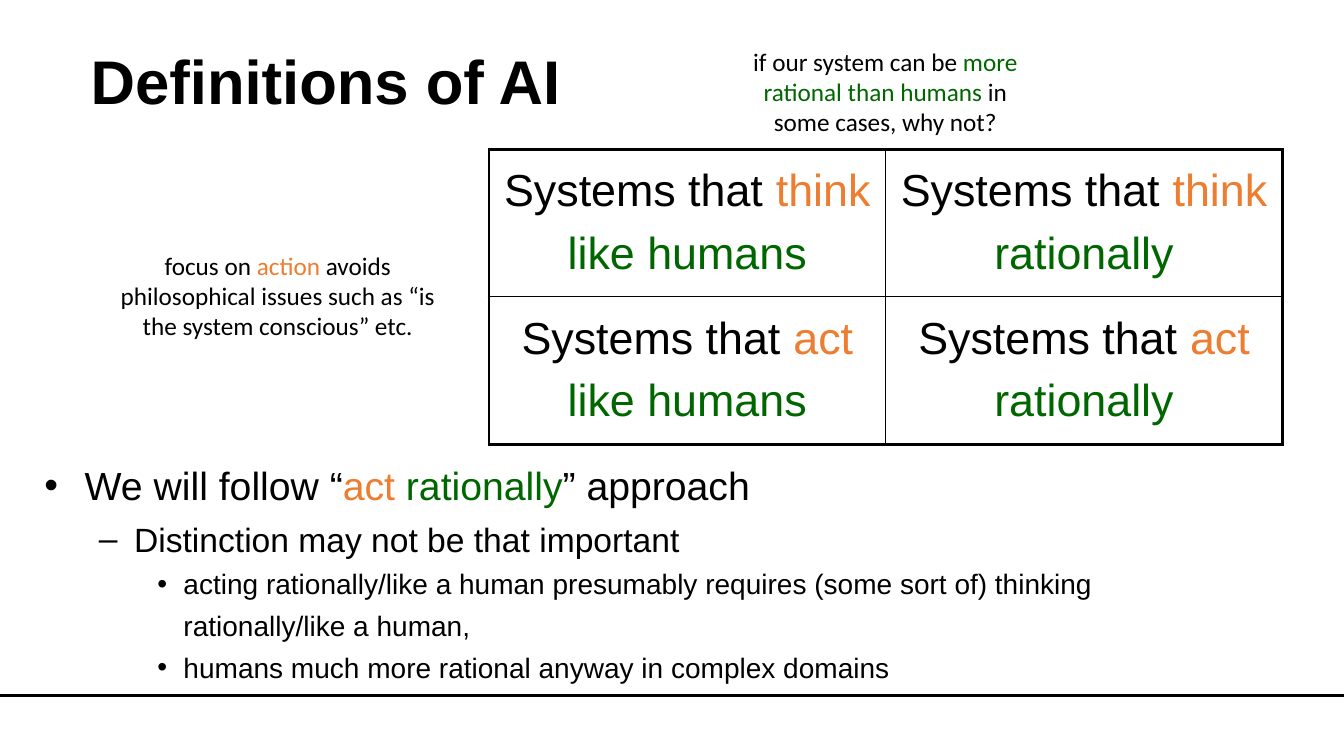
from lxml import etree
from pptx import Presentation
from pptx.dml.color import RGBColor
from pptx.enum import shapes, text
from pptx.oxml.ns import qn
from pptx.util import Inches, Pt

COLORS = {"ink": "000000", "verb": "ED7D31", "manner": "006600"}

TITLE = "Definitions of AI"
VERBS = ["think ", "act "]
MANNERS = ["like humans", "rationally"]
# Each note: left, top, width, height, runs
NOTES = [
    (1.09, 2.43, 3.33, 1.98, [
        ("focus on ", "ink"), ("action", "verb"),
        (" avoids philosophical issues such as “is the system conscious” etc.", "ink")]),
    (7.19, 0.41, 3.18, 1.98, [
        ("if our system can be ", "ink"), ("more rational than humans", "manner"),
        (" in some cases, why not?", "ink")]),
]
# Each bullet: level, runs
BULLETS = [
    (0, [("We will follow “", "ink"), ("act ", "verb"),
         ("rationally", "manner"), ("” approach", "ink")]),
    (1, [("Distinction may not be that important", "ink")]),
    (2, [("acting rationally/like a human presumably requires (some sort of) "
          "thinking rationally/like a human,", "ink")]),
    (2, [("humans much more rational anyway in complex domains", "ink")]),
]
# Per level: size, left margin, hanging indent, bullet
LEVELS = [(28, 0.4, 0.4, "•"), (24, 0.89, 0.35, "–"), (20, 1.38, 0.26, "•")]
TABLE_BOX = (4.85, 1.48, 7.87, 2.93)
LINE_SPACING = 1.24


def box(*lengths):
    return [Inches(v) for v in lengths]


def add_runs(p, runs, size, font="Arial"):
    for words, color in runs:
        r = p.add_run()
        r.text = words
        r.font.size = Pt(size)
        r.font.name = font
        r.font.color.rgb = RGBColor.from_string(COLORS[color])


def set_bullet(p, margin, hanging, char):
    pPr = p._p.get_or_add_pPr()
    pPr.set("marL", str(Inches(margin)))
    pPr.set("indent", str(-Inches(hanging)))
    etree.SubElement(pPr, qn("a:buFont")).set("typeface", "Arial")
    etree.SubElement(pPr, qn("a:buChar")).set("char", char)


def set_borders(cell, widths):
    """Draw the left, right, top and bottom borders in the given points."""
    tcPr = cell._tc.get_or_add_tcPr()
    for i, (side, width) in enumerate(zip(("lnL", "lnR", "lnT", "lnB"), widths)):
        ln = etree.Element(qn("a:" + side), w=str(Pt(width)))
        fill = etree.SubElement(ln, qn("a:solidFill"))
        etree.SubElement(fill, qn("a:srgbClr")).set("val", COLORS["ink"])
        tcPr.insert(i, ln)


def add_footer_line(s):
    line = s.shapes.add_connector(shapes.MSO_CONNECTOR.STRAIGHT, *box(0, 6.9, 13.33, 6.9))
    line.line.width = Pt(2)
    line.line.color.rgb = RGBColor.from_string(COLORS["ink"])
    etree.SubElement(line._element.spPr, qn("a:effectLst"))


def add_title(s):
    title = s.shapes.title
    title.left, title.top, title.width, title.height = box(0.8, 0.39, 11.5, 0.9)
    tf = title.text_frame
    tf.vertical_anchor = text.MSO_ANCHOR.MIDDLE
    p = tf.paragraphs[0]
    p.alignment = text.PP_ALIGN.LEFT
    p.line_spacing = 0.9
    add_runs(p, [(TITLE, "ink")], 44)
    p.runs[0].font.bold = True


def add_definitions(s):
    rows, cols = len(VERBS), len(MANNERS)
    table = s.shapes.add_table(rows, cols, *box(*TABLE_BOX)).table
    table.first_row = table.horz_banding = False
    for i, verb in enumerate(VERBS):
        for j, manner in enumerate(MANNERS):
            cell = table.cell(i, j)
            cell.fill.background()
            outer = (j == 0, j == cols - 1, i == 0, i == rows - 1)
            set_borders(cell, [2.25 if edge else 1 for edge in outer])
            p = cell.text_frame.paragraphs[0]
            p.alignment = text.PP_ALIGN.CENTER
            p.line_spacing = LINE_SPACING
            p.space_before = Pt(9)
            add_runs(p, [("Systems that ", "ink"), (verb, "verb"), (manner, "manner")], 32)


def add_note(s, left, top, width, height, runs):
    tf = s.shapes.add_textbox(*box(left, top, width, height)).text_frame
    tf.word_wrap = True
    tf.auto_size = text.MSO_AUTO_SIZE.SHAPE_TO_FIT_TEXT
    p = tf.paragraphs[0]
    p.alignment = text.PP_ALIGN.CENTER
    add_runs(p, runs, 18, "Calibri")


def add_bullets(s):
    tf = s.shapes.add_textbox(*box(0.33, 4.41, 11.25, 5.7)).text_frame
    tf.word_wrap = True
    tf.margin_left = tf.margin_right = Inches(0.11)
    tf.margin_top = tf.margin_bottom = Inches(0.06)
    for i, (level, runs) in enumerate(BULLETS):
        p = tf.add_paragraph() if i else tf.paragraphs[0]
        size, margin, hanging, char = LEVELS[level]
        p.level = level
        p.line_spacing = LINE_SPACING
        set_bullet(p, margin, hanging, char)
        add_runs(p, runs, size)


def main():
    prs = Presentation()
    prs.slide_width, prs.slide_height = box(13.33, 7.5)
    s = prs.slides.add_slide(prs.slide_layouts[5])
    add_footer_line(s)
    add_title(s)
    add_definitions(s)
    for note in NOTES:
        add_note(s, *note)
    add_bullets(s)
    prs.save("out.pptx")


if __name__ == "__main__":
    main()
